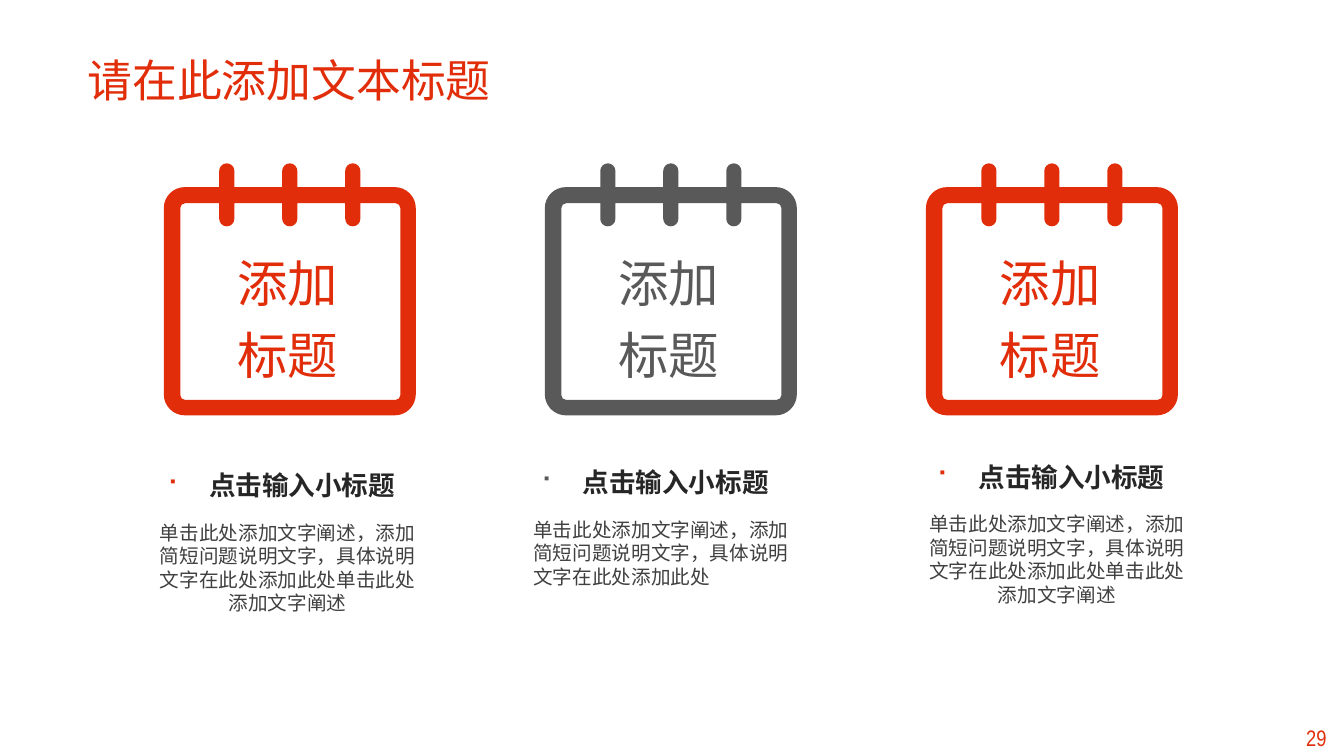
import math
import lxml.etree
import pptx
import pptx.dml.color
import pptx.enum.text
import pptx.oxml.ns
import pptx.util

Pt = pptx.util.Pt
RGB = pptx.dml.color.RGBColor
ALIGN = pptx.enum.text.PP_ALIGN
qn = pptx.oxml.ns.qn

RED = RGB(0xE1, 0x2D, 0x09)
GRAY = RGB(0x59, 0x59, 0x59)
INK = RGB(0x26, 0x26, 0x26)
SOFT = RGB(0x40, 0x40, 0x40)

TITLE = {"name": "Noto Sans CJK SC", "size": Pt(32)}
LABEL = {"name": "Calibri", "size": Pt(36)}
HEAD = {"name": "Calibri", "size": Pt(19), "bold": True}
BODY = {"name": "Noto Sans CJK SC", "size": Pt(14)}
PAGE = {"name": "Arial Narrow", "size": Pt(16)}

SHORT = "单击此处添加文字阐述，添加简短问题说明文字，具体说明文字在此处添加此处"
LONG = SHORT + "单击此处添加文字阐述"

deck = pptx.Presentation()
deck.slide_width, deck.slide_height = Pt(960), Pt(540)
slide = deck.slides.add_slide(deck.slide_layouts[6])


def write(area, lines, form, color, align, space=None, inset=None):
    """Add a text box with one paragraph per line."""
    frame = slide.shapes.add_textbox(*map(Pt, area)).text_frame
    frame.word_wrap = True
    if inset:
        frame.margin_left = frame.margin_right = Pt(inset)
        frame.margin_top = frame.margin_bottom = 0
    for i, line in enumerate(lines):
        para = frame.add_paragraph() if i else frame.paragraphs[0]
        para.alignment = align
        if space:
            para.line_spacing = space
        run = para.add_run()
        run.text = line
        for key, value in form.items():
            setattr(run.font, key, value)
        run.font.color.rgb = color
    return frame


def trace(near, top, far, curve, tip, turn):
    """Rounded frame with three rings: a start, then three dots per segment."""
    low, high = near + curve, far - curve
    arcs = [(low, top + curve, curve, 180, 90)]
    for x in (45, 90, 135):
        arcs += [(x, top, 5.4, 180, 0), (x, tip, 5.4, 180, turn),
                 (x, tip, 5.4, 180 + turn, turn), (x, top, 5.4, 0, 0)]
    arcs += [(high, top + curve, curve, 270, 90),
             (high, high, curve, 0, 90), (low, high, curve, 90, 90)]
    dots = []
    for x, y, size, start, sweep in arcs:
        a, b = math.radians(start), math.radians(start + sweep)
        pull = math.copysign(0.55 * size, sweep)
        first = (x + size * math.cos(a), y + size * math.sin(a))
        last = (x + size * math.cos(b), y + size * math.sin(b))
        if not dots:
            dots.append(first)
        elif math.dist(dots[-1], first) > 0.01:
            dots += [first] * 3
        if sweep:
            dots += [(first[0] - pull * math.sin(a), first[1] + pull * math.cos(a)),
                     (last[0] + pull * math.sin(b), last[1] - pull * math.cos(b)),
                     last]
    return [(Pt(x), Pt(y)) for x, y in dots]


# Title and page number
write((55.4, 33.8, 368, 46), ["请在此添加文本标题"], TITLE, RED, ALIGN.LEFT)
write((920.5, 514, 39.6, 26.6), ["29"], PAGE, RED, ALIGN.CENTER)

# Columns: colour, heading left and top, body text, body alignment
columns = [
    (RED, 82.8, 330.4, LONG, ALIGN.CENTER),
    (GRAY, 349.6, 328.5, SHORT, ALIGN.LEFT),
    (RED, 632.3, 324.5, LONG, ALIGN.CENTER),
]
outer = trace(0, 17, 180, 15, 5.4, 90)
inner = trace(11.8, 28.5, 169, 3.4, 39.6, -90)

for i, (color, left, top, text, align) in enumerate(columns):
    shift = 272.2 * i

    # Calendar
    pen = slide.shapes.build_freeform(*outer[0])
    pen.add_line_segments(outer[1:])
    pen.move_to(*inner[0])
    pen.add_line_segments(inner[1:])
    icon = pen.convert_to_shape(Pt(117 + shift), Pt(116.7))
    icon.shadow.inherit = False
    icon.fill.solid()
    icon.fill.fore_color.rgb = color
    icon.line.fill.background()

    # Each three dots of the outline become one curve
    steps = list(icon._element.iter(qn("a:lnTo")))
    for k in range(0, len(steps), 3):
        bend = lxml.etree.Element(qn("a:cubicBezTo"))
        steps[k].addprevious(bend)
        for step in steps[k:k + 3]:
            bend.append(step[0])
            step.getparent().remove(step)

    write((135.4 + shift, 167.8, 140.4, 107.3), ["添加", "标题"],
          LABEL, color, ALIGN.CENTER, 1.2)

    # Heading with a square bullet
    head = write((left, top, 211.7, 30.2), ["点击输入小标题"],
                 HEAD, INK, ALIGN.RIGHT, 1.2, 12.24)
    props = head.paragraphs[0]._p.get_or_add_pPr()
    props.set("marL", str(Pt(30.24)))
    props.set("indent", str(-Pt(30.24)))
    tint = lxml.etree.SubElement(props, qn("a:buClr"))
    lxml.etree.SubElement(tint, qn("a:srgbClr"), val=str(color))
    lxml.etree.SubElement(props, qn("a:buFont"), typeface="Wingdings")
    lxml.etree.SubElement(props, qn("a:buChar"), char="■")

    # Body text
    write((left + 16.8, top + 41.4, 211.7, 59), [text],
          BODY, SOFT, align, None, 12.24 if align == ALIGN.CENTER else 14.5)

deck.save("out.pptx")
